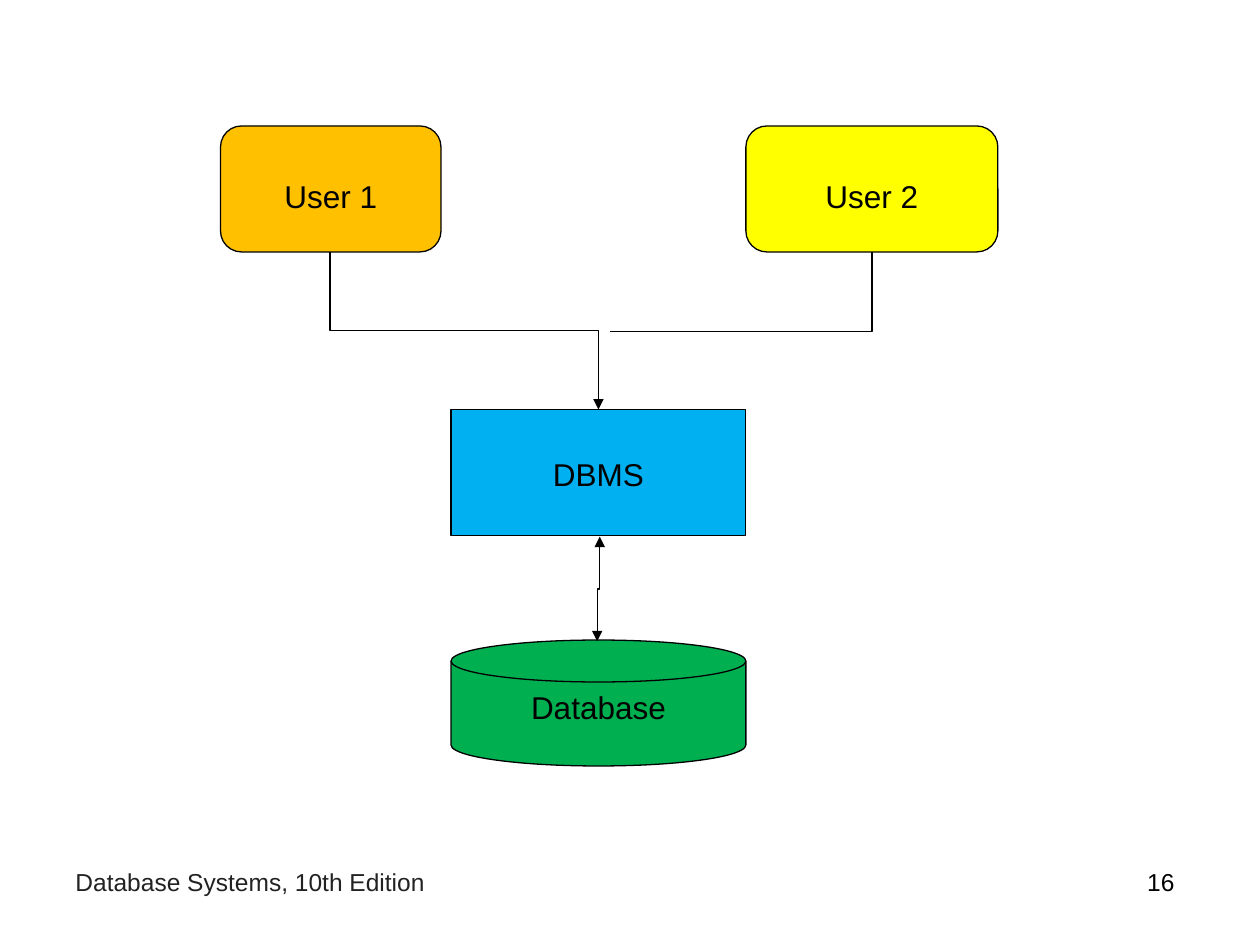
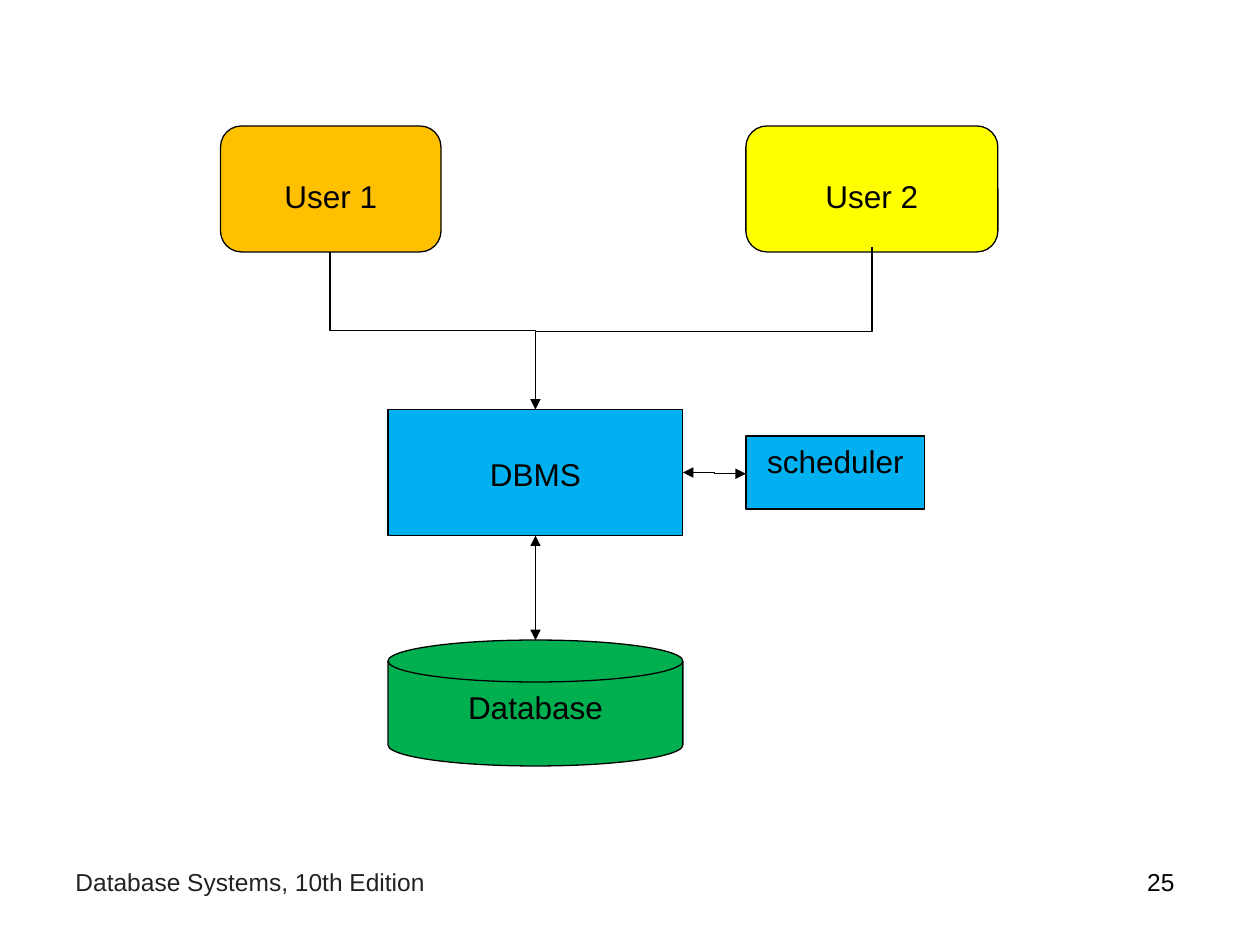
"""Build two slides showing how users reach a database through a DBMS."""
from lxml import etree
from pptx import Presentation
from pptx.dml.color import RGBColor
from pptx.enum.shapes import MSO_CONNECTOR, MSO_SHAPE
from pptx.enum.text import MSO_ANCHOR, PP_ALIGN
from pptx.oxml.ns import qn
from pptx.util import Emu, Pt

ROUNDED, RECT, DISK = MSO_SHAPE.ROUNDED_RECTANGLE, MSO_SHAPE.RECTANGLE, MSO_SHAPE.FLOWCHART_MAGNETIC_DISK
STRAIGHT, ELBOW = MSO_CONNECTOR.STRAIGHT, MSO_CONNECTOR.ELBOW
LEFT, CENTER, RIGHT = PP_ALIGN.LEFT, PP_ALIGN.CENTER, PP_ALIGN.RIGHT
TOP = MSO_ANCHOR.TOP
BOTTOM_SIDE = 2
EMU_PER_PX = 9144
SLIDE_SIZE = (1000, 750)
FONT = "Arial"
BLACK, FOOTER_GREY = "000000", "222222"
ORANGE, YELLOW, BLUE, GREEN = "FFC000", "FFFF00", "00B0F0", "00B050"
LINE_WIDTH = Pt(0.75)
HIGH_INSET, LOW_INSET = 5, 36
BOTH_ENDS, END_ONLY, NO_HEADS = ("headEnd", "tailEnd"), ("tailEnd",), ()

FOOTER = "Database Systems, 10th Edition"
FOOTER_AREA = (50, 683, 425, 67)
NUMBER_AREA = (717, 683, 225, 52)
USERS = [
    ("User 1", ROUNDED, (175, 100, 175, 100), ORANGE, LOW_INSET),
    ("User 2", ROUNDED, (592, 100, 200, 100), YELLOW, LOW_INSET),
]


def server_nodes(left):
    """Return the DBMS and its database, stacked at one left edge."""
    return [
        ("DBMS", RECT, (left, 325, 234, 100), BLUE, LOW_INSET),
        ("Database", DISK, (left, 508, 234, 100), GREEN, HIGH_INSET),
    ]


SLIDES = [
    {
        "number": "16",
        "nodes": USERS + server_nodes(358),
        "downward": [
            ((262, 200), (475, 325), "bentConnector3", END_ONLY),
            ((692, 200), (484, 263), "bentConnector2", NO_HEADS),
            ((476, 426), (474, 509), "bentConnector3", BOTH_ENDS),
        ],
        "straight": [],
        "sideways": [],
    },
    {
        "number": "25",
        "nodes": USERS + server_nodes(308) + [("scheduler", RECT, (592, 346, 142, 58), BLUE, HIGH_INSET)],
        "downward": [
            ((262, 200), (425, 325), "bentConnector3", END_ONLY),
            ((692, 196), (425, 263), "bentConnector2", NO_HEADS),
        ],
        "straight": [("DBMS", (425, 425), (425, 508), BOTH_ENDS)],
        "sideways": [((542, 375), (592, 376), BOTH_ENDS)],
    },
]


def px(*lengths):
    """Turn px lengths into EMU."""
    return [Emu(round(length * EMU_PER_PX)) for length in lengths]


def color(hex_code):
    """Turn a hex string into a colour."""
    return RGBColor.from_string(hex_code)


def write(shape, text, size, align, ink, top_inset=HIGH_INSET):
    """Write one formatted paragraph from the top of a shape."""
    frame = shape.text_frame
    side, top, bottom = px(10, top_inset, 5)
    frame_format = {
        "word_wrap": True, "vertical_anchor": TOP, "margin_left": side,
        "margin_right": side, "margin_top": top, "margin_bottom": bottom,
    }
    for name, value in frame_format.items():
        setattr(frame, name, value)
    paragraph = frame.paragraphs[0]
    paragraph.alignment = align
    run = paragraph.add_run()
    run.text = text
    for name, value in {"name": FONT, "size": Pt(size)}.items():
        setattr(run.font, name, value)
    run.font.color.rgb = color(ink)


def outline(item):
    """Give a shape or connector the shared thin black line."""
    item.line.color.rgb = color(BLACK)
    item.line.width = LINE_WIDTH


def add_node(slide, label, kind, area, fill, top_inset):
    """Draw one labelled part of the system."""
    node = slide.shapes.add_shape(kind, *px(*area))
    node.shadow.inherit = False
    node.fill.solid()
    node.fill.fore_color.rgb = color(fill)
    outline(node)
    write(node, label, 18, CENTER, BLACK, top_inset)
    return node


def add_link(slide, kind, start, end, heads):
    """Draw a connector with the given arrowheads."""
    link = slide.shapes.add_connector(kind, *px(*start, *end))
    outline(link)
    line = link.line._get_or_add_ln()
    for head in heads:
        etree.SubElement(line, qn("a:" + head), type="triangle")
    etree.SubElement(link._element.spPr, qn("a:effectLst"))
    return link


def add_downward_link(slide, start, end, bend, heads):
    """Draw an elbow that leaves its start vertically."""
    (x1, y1), (x2, y2) = start, end
    drop, span = y2 - y1, abs(x2 - x1)
    left, top = (x1 + x2 - drop) / 2, (y1 + y2 - span) / 2
    link = add_link(slide, ELBOW, (left, top), (left + drop, top + span), heads)
    properties = link._element.spPr
    properties.find(qn("a:prstGeom")).set("prst", bend)
    turn = 270 if x2 > x1 else 90
    transform = properties.find(qn("a:xfrm"))
    transform.set("rot", str(turn * 60000))
    if turn == 270:
        transform.set("flipH", "1")


def build_slide(deck, content):
    """Add one slide with its footer, nodes and links."""
    slide = deck.slides.add_slide(deck.slide_layouts[6])
    footers = [(FOOTER, FOOTER_AREA, LEFT, FOOTER_GREY), (content["number"], NUMBER_AREA, RIGHT, BLACK)]
    for text, area, align, ink in footers:
        write(slide.shapes.add_textbox(*px(*area)), text, 14, align, ink)
    nodes = {node[0]: add_node(slide, *node) for node in content["nodes"]}
    for link in content["downward"]:
        add_downward_link(slide, *link)
    for source, start, end, heads in content["straight"]:
        add_link(slide, STRAIGHT, start, end, heads).begin_connect(nodes[source], BOTTOM_SIDE)
    for link in content["sideways"]:
        add_link(slide, ELBOW, *link)


def main():
    """Build and save the deck."""
    deck = Presentation()
    deck.slide_width, deck.slide_height = px(*SLIDE_SIZE)
    for content in SLIDES:
        build_slide(deck, content)
    deck.save("out.pptx")


if __name__ == "__main__":
    main()
